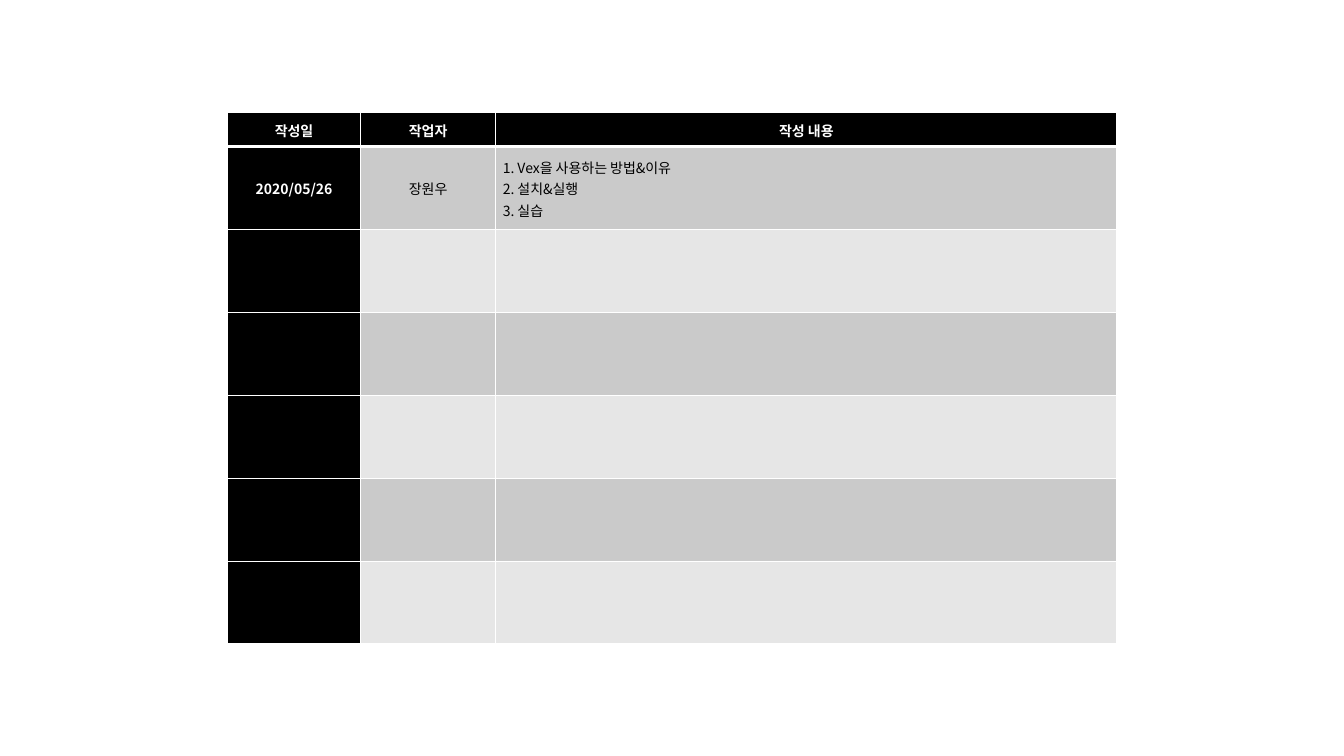
"""Build a one-slide work log table with dates, authors and contents."""
import pptx
import pptx.dml.color
import pptx.enum.text
import pptx.oxml.ns
import pptx.util
from lxml import etree
from pptx.util import Cm, Pt

COLORS = {"dark": "000000", "light": "FFFFFF", "odd": "CACACA", "even": "E6E6E6"}
LATIN_HEADER, BODY_FONT = "Arial", "Noto Sans CJK KR"
HEADER = [["작성일"], ["작업자"], ["작성 내용"]]
ENTRIES = [
    [["2020/05/26"], ["장원우"], ["1. Vex을 사용하는 방법&이유", "2. 설치&실행", "3. 실습"]],
]
ENTRY_ROWS = 6
COLUMN_WIDTHS = [Cm(3.36), Cm(3.4), Cm(15.66)]
HEADER_HEIGHT, ENTRY_HEIGHT = Cm(0.86), Cm(2.09)
LEFT, TOP = Cm(5.73), Cm(2.83)


def rgb(name):
    """Return the named colour."""
    return pptx.dml.color.RGBColor.from_string(COLORS[name])


def add_borders(cell, widths):
    """Draw light borders, given as a dict of side to points."""
    properties = cell._tc.get_or_add_tcPr()
    for index, side in enumerate("LRTB"):
        line = etree.Element(pptx.oxml.ns.qn(f"a:ln{side}"), w=str(Pt(widths[side])))
        fill = etree.SubElement(line, pptx.oxml.ns.qn("a:solidFill"))
        etree.SubElement(fill, pptx.oxml.ns.qn("a:srgbClr"), val=COLORS["light"])
        properties.insert(index, line)


def write(cell, lines, font, color, bold, centred):
    """Write one paragraph per line into a cell."""
    for index, line in enumerate(lines):
        frame = cell.text_frame
        para = frame.add_paragraph() if index else frame.paragraphs[0]
        para.line_spacing = 1.07
        para.alignment = getattr(pptx.enum.text.PP_ALIGN, "CENTER" if centred else "LEFT")
        span = para.add_run()
        span.text = line
        span.font.name, span.font.size, span.font.bold = font, Pt(10), bold
        span.font.color.rgb = rgb(color)
        etree.SubElement(span.font._element, pptx.oxml.ns.qn("a:ea"), typeface=BODY_FONT)


deck = pptx.Presentation()
deck.slide_width, deck.slide_height = Cm(33.87), Cm(19.05)
page = deck.slides.add_slide(deck.slide_layouts[6])

heights = [HEADER_HEIGHT] + [ENTRY_HEIGHT] * ENTRY_ROWS
table = page.shapes.add_table(
    len(heights), len(COLUMN_WIDTHS), LEFT, TOP, sum(COLUMN_WIDTHS), sum(heights)
).table
for column, width in zip(table.columns, COLUMN_WIDTHS):
    column.width = width
for row, height in zip(table.rows, heights):
    row.height = height

blank = [[] for _ in COLUMN_WIDTHS]
content = [HEADER] + ENTRIES + [blank] * (ENTRY_ROWS - len(ENTRIES))
for row_index, row in enumerate(content):
    for column_index, lines in enumerate(row):
        cell = table.cell(row_index, column_index)
        is_header = row_index == 0
        is_dark = is_header or column_index == 0
        cell.vertical_anchor = pptx.enum.text.MSO_ANCHOR.MIDDLE
        cell.margin_left = cell.margin_right = Cm(0.18)
        cell.margin_top = cell.margin_bottom = 0
        cell.fill.solid()
        cell.fill.fore_color.rgb = rgb("dark" if is_dark else "odd" if row_index % 2 else "even")
        add_borders(cell, {"L": 1, "R": 1, "T": 3 if row_index == 1 else 1, "B": 3 if is_header else 1})
        write(cell, lines, LATIN_HEADER if is_header else BODY_FONT,
              "light" if is_dark else "dark", is_dark, is_header or column_index < 2)

deck.save("out.pptx")
